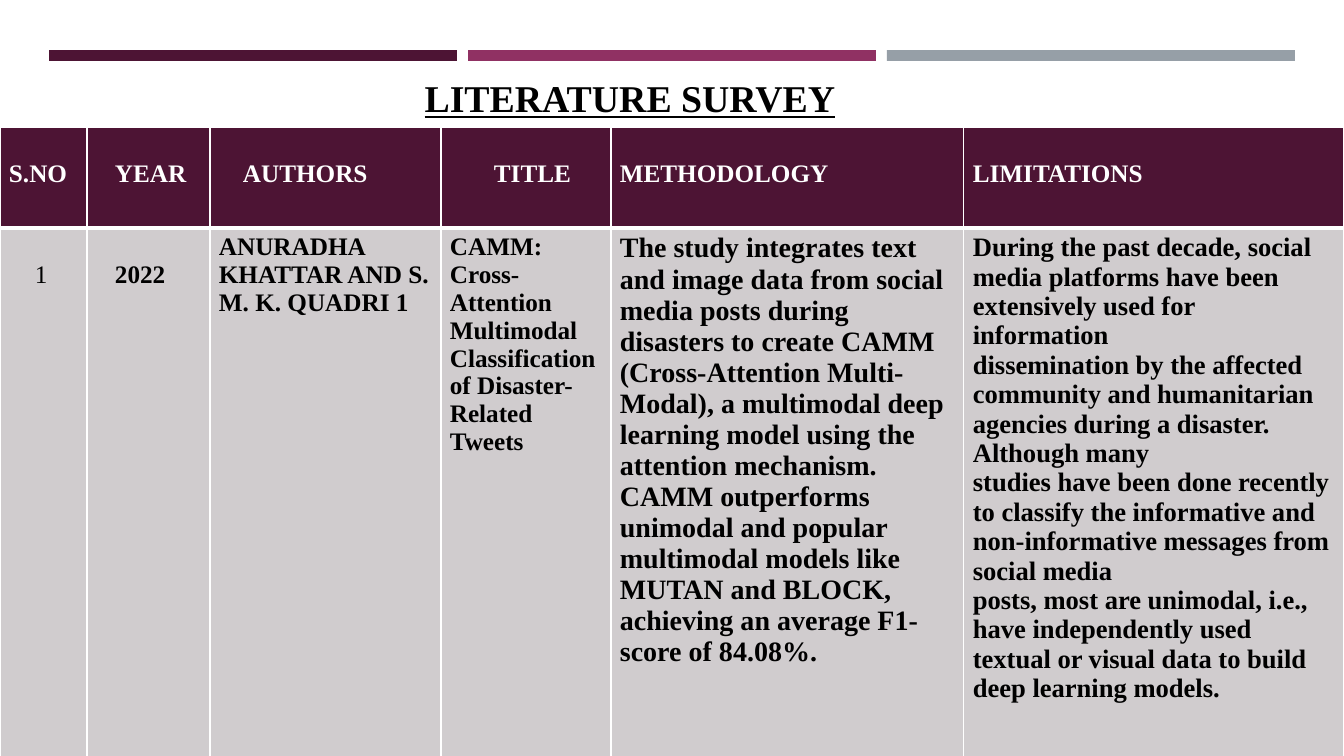
"""Build the literature survey slide."""
from dataclasses import dataclass

from lxml import etree
from pptx import Presentation
from pptx import util as u
from pptx.dml.color import RGBColor
from pptx.enum import shapes, text
from pptx.oxml import ns

PX = 914400 / 100.8
FONT = "Times New Roman"
PLUM = RGBColor(0x4D, 0x14, 0x34)
MAGENTA = RGBColor(0x90, 0x31, 0x63)
SLATE = RGBColor(0x96, 0x9F, 0xA7)
PALE = RGBColor(0xD0, 0xCC, 0xCE)
WHITE = RGBColor(0xFF, 0xFF, 0xFF)
BLACK = RGBColor(0, 0, 0)

INSET, LOWERED = 9, 33
ROW_HEIGHTS = (101, 532)


@dataclass
class Entry:
    """Paragraphs of one cell with their size and insets in px."""
    lines: tuple[str, ...]
    left: int = INSET
    top: int = 5
    size: int = 18
    bold: bool = True


@dataclass
class Column:
    """A survey column: its width in px, heading and study entry."""
    width: int
    heading: Entry
    study: Entry


COLUMNS = (
    Column(87, Entry(("S.NO",), top=LOWERED),
           Entry(("1",), left=35, top=LOWERED, bold=False)),
    Column(123, Entry(("YEAR",), left=28, top=LOWERED),
           Entry(("2022",), left=28, top=LOWERED)),
    Column(231, Entry(("AUTHORS",), left=33, top=LOWERED),
           Entry(("ANURADHA KHATTAR AND S. M. K. QUADRI 1",))),
    Column(170, Entry(("TITLE",), left=53, top=LOWERED),
           Entry(("CAMM: Cross-Attention Multimodal Classification of "
                  "Disaster-Related Tweets",))),
    Column(353, Entry(("METHODOLOGY",), top=LOWERED),
           Entry(("The study integrates text and image data from social media posts "
                  "during disasters to create CAMM (Cross-Attention Multi-Modal), a "
                  "multimodal deep learning model using the attention mechanism. CAMM "
                  "outperforms unimodal and popular multimodal models like MUTAN and "
                  "BLOCK, achieving an average F1-score of 84.08%.",), size=20)),
    Column(380, Entry(("LIMITATIONS",), top=LOWERED),
           Entry(("During the past decade, social media platforms have been "
                  "extensively used for information",
                  "dissemination by the affected community and humanitarian agencies "
                  "during a disaster. Although many",
                  "studies have been done recently to classify the informative and "
                  "non-informative messages from social media",
                  "posts, most are unimodal, i.e., have independently used textual or "
                  "visual data to build deep learning models."), size=19)),
)


def px(length: int) -> u.Emu:
    """Turn px into EMU."""
    return u.Emu(round(length * PX))


def style(paragraph, size: int, color: RGBColor, bold: bool = True) -> None:
    """Format every run of a paragraph."""
    for run in paragraph.runs:
        run.font.name = FONT
        run.font.size = u.Pt(size)
        run.font.bold = bold
        run.font.color.rgb = color


def add_bars(slide) -> None:
    """Draw the three equally spaced bars at the top."""
    for index, color in enumerate((PLUM, MAGENTA, SLATE)):
        bar = slide.shapes.add_shape(shapes.MSO_SHAPE.RECTANGLE, px(49 + 419 * index),
                                     px(50), px(408), px(11))
        bar.shadow.inherit = False
        bar.fill.solid()
        bar.fill.fore_color.rgb = color
        bar.line.fill.background()


def add_heading(slide) -> None:
    """Add the underlined slide heading."""
    frame = slide.shapes.add_textbox(px(302), px(69), px(656), px(57)).text_frame
    frame.word_wrap = True
    frame.vertical_anchor = text.MSO_ANCHOR.MIDDLE
    frame.text = "LITERATURE SURVEY"
    heading = frame.paragraphs[0]
    heading.alignment = text.PP_ALIGN.CENTER
    style(heading, 27, BLACK)
    heading.runs[0].font.underline = True


def add_borders(cell, widths: dict[str, int]) -> None:
    """Give a cell white borders, with widths in points by side."""
    properties = cell._tc.get_or_add_tcPr()
    for index, (side, width) in enumerate(widths.items()):
        border = etree.Element(ns.qn(f"a:ln{side}"), w=str(u.Pt(width)))
        fill = etree.SubElement(border, ns.qn("a:solidFill"))
        etree.SubElement(fill, ns.qn("a:srgbClr"), val=str(WHITE))
        properties.insert(index, border)


def fill_cell(cell, entry: Entry, background: RGBColor, color: RGBColor) -> None:
    """Write an entry into a cell and colour it."""
    cell.fill.solid()
    cell.fill.fore_color.rgb = background
    cell.margin_left, cell.margin_top = px(entry.left), px(entry.top)
    cell.margin_right = px(INSET)
    cell.text_frame.text = "\n".join(entry.lines)
    for paragraph in cell.text_frame.paragraphs:
        style(paragraph, entry.size, color, entry.bold)


def add_survey(slide) -> None:
    """Add the survey table."""
    total = sum(column.width for column in COLUMNS)
    survey = slide.shapes.add_table(2, len(COLUMNS), px(0), px(127), px(total),
                                    px(sum(ROW_HEIGHTS))).table
    survey.horz_banding = False
    for row, height in zip(survey.rows, ROW_HEIGHTS):
        row.height = px(height)
    for index, column in enumerate(COLUMNS):
        survey.columns[index].width = px(column.width)
        heading, study = survey.cell(0, index), survey.cell(1, index)
        fill_cell(heading, column.heading, PLUM, WHITE)
        fill_cell(study, column.study, PALE, BLACK)
        add_borders(heading, {"L": 1, "R": 1, "T": 1, "B": 3})
        add_borders(study, {"L": 1, "R": 1, "T": 3, "B": 1})


def main() -> None:
    """Build and save the slide."""
    deck = Presentation()
    deck.slide_width, deck.slide_height = px(1344), px(756)
    slide = deck.slides.add_slide(deck.slide_layouts[6])
    add_bars(slide)
    add_survey(slide)
    add_heading(slide)
    deck.save("out.pptx")


if __name__ == "__main__":
    main()
